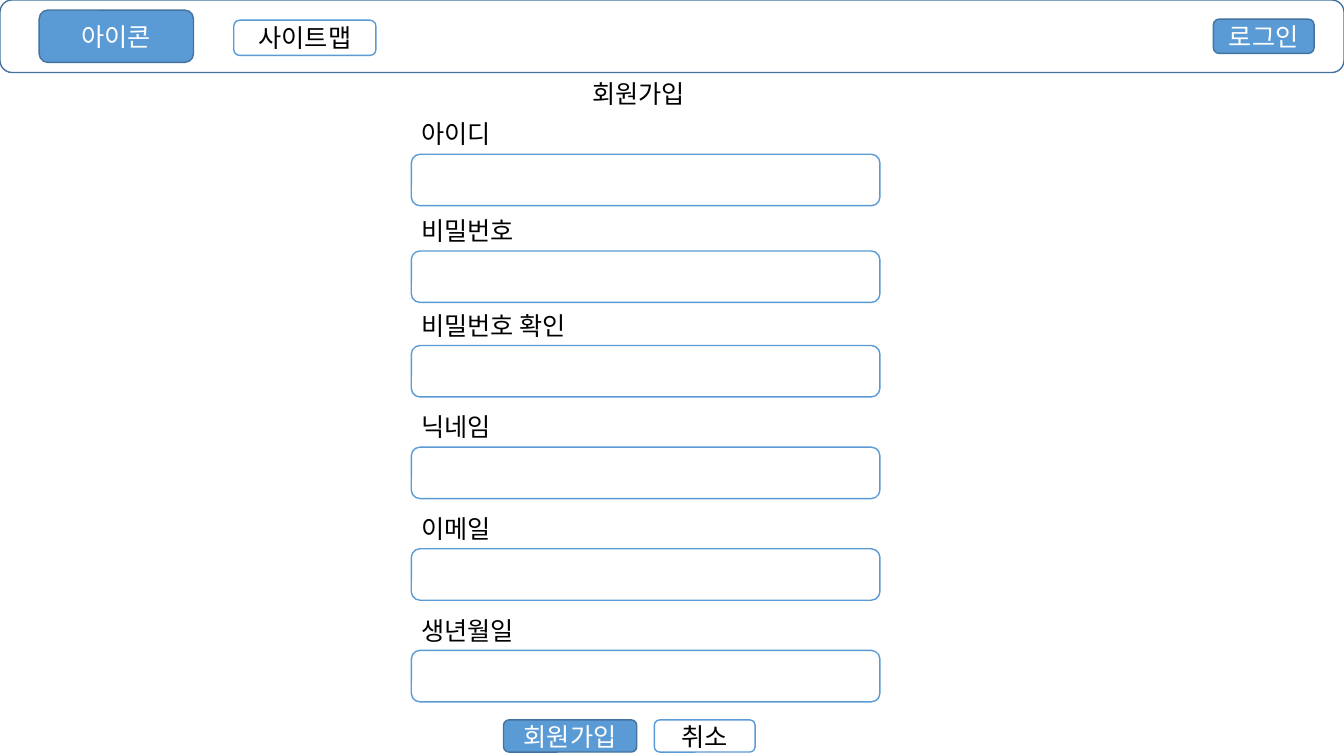
"""Build the sign-up page wireframe slide."""
from dataclasses import dataclass

from lxml.etree import SubElement
from pptx import Presentation
from pptx.dml.color import RGBColor
from pptx.enum.shapes import MSO_SHAPE
from pptx.enum.text import MSO_ANCHOR, MSO_AUTO_SIZE, PP_ALIGN
from pptx.oxml.ns import qn
from pptx.slide import Slide
from pptx.text.text import TextFrame
from pptx.util import Pt

WHITE = RGBColor(0xFF, 0xFF, 0xFF)
BLACK = RGBColor(0x00, 0x00, 0x00)
BLUE = RGBColor(0x5B, 0x9B, 0xD5)
NAVY = RGBColor(0x43, 0x73, 0x9E)
FONT = "Noto Sans CJK KR"
FORM_LEFT = 293.8
LABEL_RISE = 28.9


@dataclass(frozen=True)
class Box:
    left: float
    top: float
    width: float
    height: float
    text: str = ""
    fill: RGBColor = WHITE
    line: RGBColor = BLUE
    ink: RGBColor = BLACK


@dataclass(frozen=True)
class Field:
    text: str
    top: float
    width: float


BAR = Box(0, 0, 960, 51.8, line=NAVY)
BUTTONS = [
    Box(28, 7.2, 110.2, 37.4, "아이콘", BLUE, NAVY, WHITE),
    Box(167, 14.4, 101.5, 25.2, "사이트맵"),
    Box(866.7, 13.7, 72, 24.5, "로그인", BLUE, NAVY, WHITE),
    Box(359.7, 514.2, 95.2, 23, "회원가입", BLUE, NAVY, WHITE),
    Box(467.4, 514.2, 72, 23, "취소"),
]
FIELDS = [
    Field("아이디", 110.2, 69),
    Field("비밀번호", 179.3, 87),
    Field("비밀번호 확인", 246.8, 130),
    Field("닉네임", 319.4, 69),
    Field("이메일", 392, 69),
    Field("생년월일", 464.6, 87),
]


def write(frame: TextFrame, text: str, *, ink: RGBColor = BLACK,
          align: PP_ALIGN = PP_ALIGN.LEFT) -> None:
    part = frame.paragraphs[0]
    part.alignment = align
    run = part.add_run()
    run.text = text
    run.font.size = Pt(18)
    run.font.color.rgb = ink
    run.font.name = FONT
    SubElement(run.font._element, qn("a:ea"), typeface=FONT)


def draw_box(slide: Slide, box: Box) -> None:
    shape = slide.shapes.add_shape(
        MSO_SHAPE.ROUNDED_RECTANGLE,
        Pt(box.left), Pt(box.top), Pt(box.width), Pt(box.height))
    shape.shadow.inherit = False
    shape.fill.solid()
    shape.fill.fore_color.rgb = box.fill
    shape.line.color.rgb = box.line
    shape.line.width = Pt(1)
    if box.text:
        shape.text_frame.vertical_anchor = MSO_ANCHOR.MIDDLE
        write(shape.text_frame, box.text, ink=box.ink, align=PP_ALIGN.CENTER)


def draw_label(slide: Slide, text: str, left: float, top: float,
               width: float) -> None:
    label = slide.shapes.add_textbox(Pt(left), Pt(top), Pt(width), Pt(29))
    label.text_frame.word_wrap = False
    label.text_frame.auto_size = MSO_AUTO_SIZE.SHAPE_TO_FIT_TEXT
    write(label.text_frame, text)


def main() -> None:
    deck = Presentation()
    deck.slide_width, deck.slide_height = Pt(960), Pt(540)
    slide = deck.slides.add_slide(deck.slide_layouts[6])
    draw_box(slide, BAR)
    draw_label(slide, "회원가입", 416, 52.5, 87)
    for field in FIELDS:
        draw_box(slide, Box(FORM_LEFT, field.top, 334.7, 36.7))
        draw_label(slide, field.text, FORM_LEFT, field.top - LABEL_RISE,
                   field.width)
    for button in BUTTONS:
        draw_box(slide, button)
    deck.save("out.pptx")


if __name__ == "__main__":
    main()
